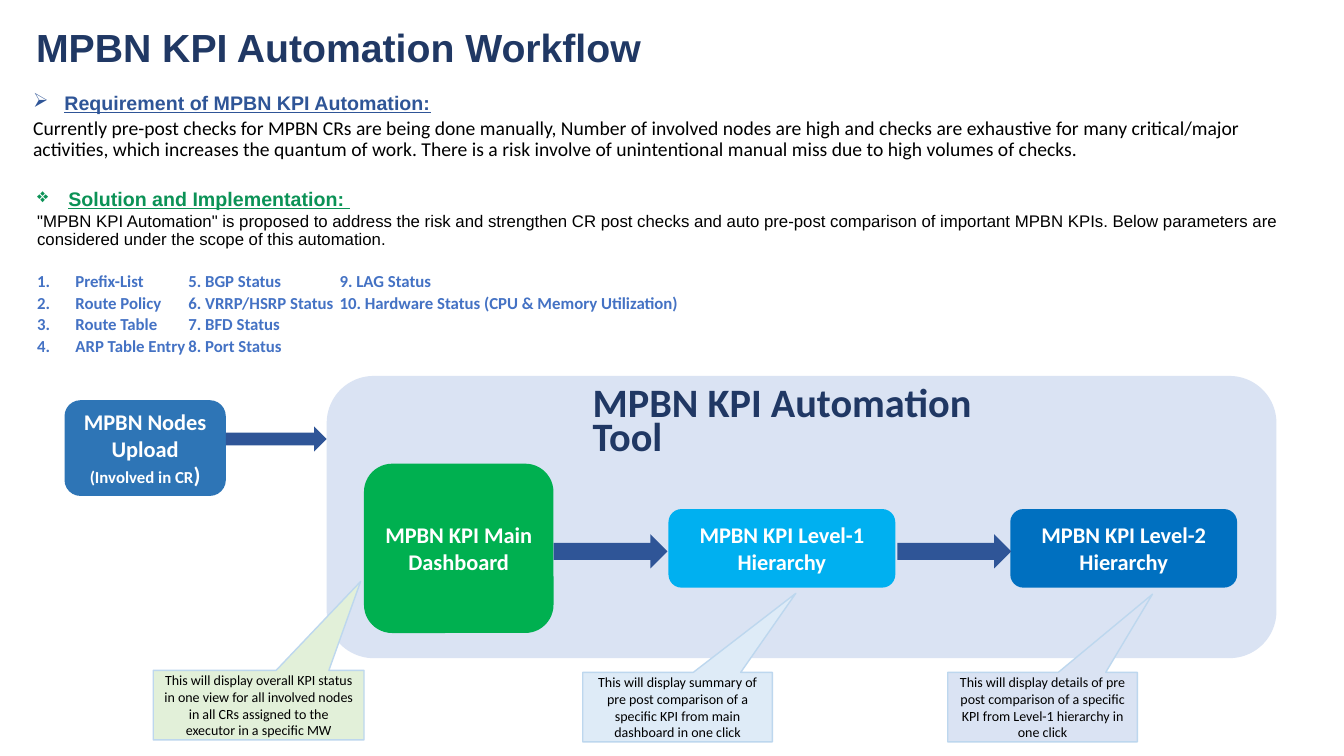
from lxml.etree import SubElement
from pptx import Presentation
from pptx.dml.color import RGBColor
from pptx.enum.shapes import MSO_SHAPE
from pptx.enum.text import MSO_ANCHOR, PP_ALIGN
from pptx.oxml.ns import qn
from pptx.util import Emu, Pt

PX = 9144  # 100 px to the inch

COLORS = {
    "navy": "203864", "blue": "2F5597", "green": "0B9256", "black": "000000",
    "white": "FFFFFF", "list": "4472C4", "panel": "DAE3F3", "upload": "2E75B6",
    "dashboard": "00B050", "level1": "00B0F0", "level2": "0070C0",
    "mint": "E2F0D9", "ice": "DEEBF7", "outline": "BDD7EE",
}

# Content: a paragraph is (runs, options), a run is (text, size, font, color, style)
TITLE = [([("MPBN KPI Automation Workflow", 28, "Arial", "navy", "b")], {"line": 0.9})]
TOOL_TITLE = [([("MPBN KPI Automation Tool", 28.8, "Calibri", "navy", "b")], {"line": 0.7})]
REQUIREMENT = [
    ([("Requirement of MPBN KPI Automation:", 14, "Arial", "blue", "bu")],
     {"line": 0.9, "indent": 31, "bullet": "➢"}),
    ([("Currently pre-post checks for MPBN CRs are being done manually, Number of involved "
       "nodes are high and checks are exhaustive for many critical/major activities, which "
       "increases the quantum of work. There is a risk involve of unintentional manual miss "
       "due to high volumes of checks.", 14, "Calibri", "black", "")],
     {"line": 0.9, "before": 2.8}),
]
PARAMETERS = [
    "Prefix-List\t5. BGP Status\t\t9. LAG Status",
    "Route Policy\t6. VRRP/HSRP Status\t10. Hardware Status (CPU & Memory Utilization)",
    "Route Table\t7. BFD Status",
    "ARP Table Entry\t8. Port Status",
]
SOLUTION = [
    ([("Solution and Implementation: ", 14, "Arial", "green", "bu")],
     {"indent": 31, "bullet": "❖"}),
    ([("\"MPBN KPI Automation\" is proposed to address the risk and strengthen CR post checks "
       "and auto pre-post comparison of important MPBN KPIs. Below parameters are considered "
       "under the scope of this automation.", 12, "Arial", "black", "")],
     {"line": 0.9, "before": 2.4}),
] + [
    ([(text, 12, "Calibri", "list", "b")],
     {"line": 0.9, "before": 2.4 if row else 17, "indent": 38, "bullet": "number"})
    for row, text in enumerate(PARAMETERS)
]

# Left, top, width, height in px
TEXTS = [
    (TITLE, (26, 25, 914, 48), MSO_ANCHOR.MIDDLE),
    (REQUIREMENT, (23, 88, 1228, 78), MSO_ANCHOR.TOP),
    (SOLUTION, (27, 180, 1254, 185), MSO_ANCHOR.TOP),
    (TOOL_TITLE, (578, 397, 470, 48), MSO_ANCHOR.MIDDLE),
]
PANEL = (324, 373, 942, 280)
STEPS = [
    ((64, 397, 160, 95), "upload",
     [[("MPBN Nodes Upload", 16)], [("(Involved in CR", 12), (")", 16)]]),
    ((361, 460, 188, 168), "dashboard", [[("MPBN KPI Main Dashboard", 16)]]),
    ((663, 505, 225, 78), "level1", [[("MPBN KPI Level-1 Hierarchy", 16)]]),
    ((1002, 505, 225, 78), "level2", [[("MPBN KPI Level-2 Hierarchy", 16)]]),
]
ARROWS = [(224, 423, 100, 25), (549, 530, 113, 34), (890, 530, 113, 34)]
CALLOUTS = [
    ((152, 665, 209, 69), (0.484, -1.778), "mint",
     "This will display overall KPI status in one view for all involved nodes in all CRs "
     "assigned to the executor in a specific MW"),
    ((578, 667, 188, 69), (0.624, -1.636), "ice",
     "This will display summary of pre post comparison of a specific KPI from main "
     "dashboard in one click"),
    ((940, 667, 188, 69), (0.58, -1.623), "panel",
     "This will display details of pre post comparison of a specific KPI from Level-1 "
     "hierarchy in one click"),
]


def color(name):
    return RGBColor.from_string(COLORS[name])


def place(area):
    return [Emu(length * PX) for length in area]


def add_bullet(para, bullet, indent):
    properties = para._p.get_or_add_pPr()
    properties.set("marL", str(indent * PX))
    properties.set("indent", str(-indent * PX))
    if bullet == "number":
        SubElement(properties, qn("a:buAutoNum"), type="arabicPeriod")
    else:
        SubElement(properties, qn("a:buChar"), char=bullet)


def write(box, paragraphs, anchor=MSO_ANCHOR.MIDDLE, align=PP_ALIGN.LEFT):
    frame = box.text_frame
    frame.word_wrap = True
    frame.vertical_anchor = anchor
    for index, (spans, options) in enumerate(paragraphs):
        para = frame.add_paragraph() if index else frame.paragraphs[0]
        if "bullet" in options:
            add_bullet(para, options["bullet"], options["indent"])
        para.alignment = align
        para.line_spacing = options.get("line", 1.0)
        para.space_before = Pt(options.get("before", 0))
        for text, size, font, shade, style in spans:
            span = para.add_run()
            span.text = text
            span.font.size = Pt(size)
            span.font.name = font
            span.font.color.rgb = color(shade)
            span.font.bold = "b" in style
            span.font.underline = "u" in style


def add_box(page, kind, area, fill, outline=None):
    box = page.shapes.add_shape(kind, *place(area))
    box.shadow.inherit = False
    box.fill.solid()
    box.fill.fore_color.rgb = color(fill)
    if outline:
        box.line.color.rgb = color(outline)
        box.line.width = Pt(1)
    else:
        box.line.fill.background()
    return box


def main():
    deck = Presentation()
    deck.slide_width, deck.slide_height = place((1333, 750))
    page = deck.slides.add_slide(deck.slide_layouts[6])

    # Tool panel, then headings and body text
    add_box(page, MSO_SHAPE.ROUNDED_RECTANGLE, PANEL, "panel")
    for paragraphs, area, anchor in TEXTS:
        write(page.shapes.add_textbox(*place(area)), paragraphs, anchor)

    # Workflow steps and the arrows between them
    for area, fill, lines in STEPS:
        box = add_box(page, MSO_SHAPE.ROUNDED_RECTANGLE, area, fill)
        paragraphs = [([(text, size, "Calibri", "white", "b") for text, size in line], {})
                      for line in lines]
        write(box, paragraphs, align=PP_ALIGN.CENTER)
    for area in ARROWS:
        add_box(page, MSO_SHAPE.RIGHT_ARROW, area, "blue")

    # Callouts pointing at the steps
    for area, tip, fill, text in CALLOUTS:
        box = add_box(page, MSO_SHAPE.RECTANGULAR_CALLOUT, area, fill, "outline")
        box.adjustments[0], box.adjustments[1] = tip
        write(box, [([(text, 10, "Calibri", "black", "")], {})], align=PP_ALIGN.CENTER)

    deck.save("out.pptx")


if __name__ == "__main__":
    main()
